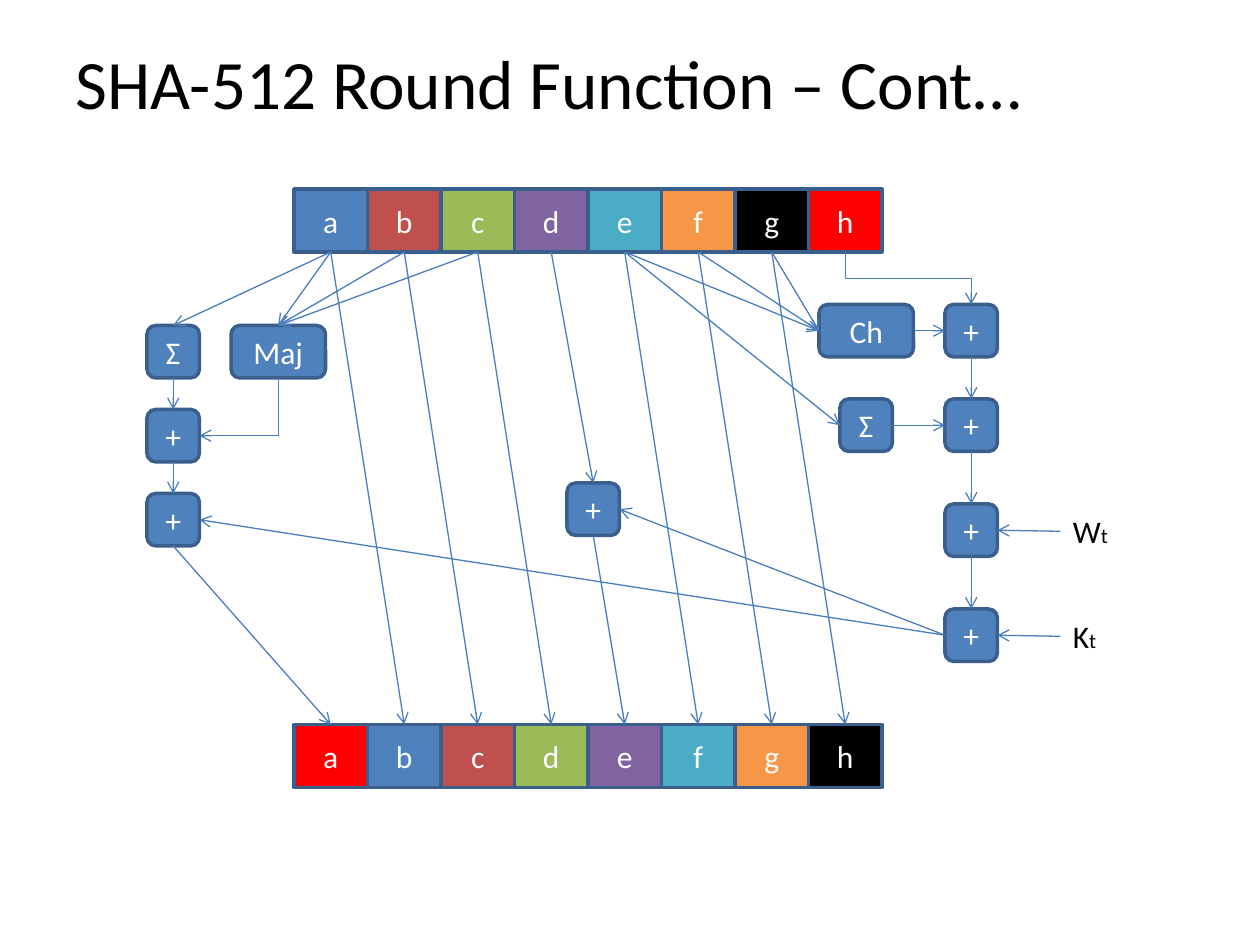
from lxml import etree
from pptx import Presentation
from pptx.dml.color import RGBColor
from pptx.enum.shapes import MSO_CONNECTOR, MSO_SHAPE
from pptx.enum.text import MSO_ANCHOR, PP_ALIGN
from pptx.oxml.ns import qn
from pptx.util import Emu, Pt

STRAIGHT, ELBOW = MSO_CONNECTOR.STRAIGHT, MSO_CONNECTOR.ELBOW
RECT, ROUND = MSO_SHAPE.RECTANGLE, MSO_SHAPE.ROUNDED_RECTANGLE
MIDDLE, UPPER = MSO_ANCHOR.MIDDLE, MSO_ANCHOR.TOP
CENTER, START = PP_ALIGN.CENTER, PP_ALIGN.LEFT
TOP, LEFT, BOTTOM, RIGHT = range(4)

SCALE = 7620  # EMU per px, 120 px to the inch
FONT = "Calibri"
WORDS = "abcdefgh"
SIDE = 50
COLORS = {
    "blue": "4F81BD", "brick": "C0504D", "green": "9BBB59", "purple": "8064A2",
    "teal": "4BACC6", "orange": "F79646", "black": "000000", "red": "FF0000",
    "white": "FFFFFF", "edge": "3A5F8C", "arrow": "4B7EBC",
}
FILLS = ["blue", "brick", "green", "purple", "teal", "orange", "black", "red"]


def px(*values):
    return [Emu(value * SCALE) for value in values]


def rgb(name):
    return RGBColor.from_string(COLORS[name])


def write(shape, *runs, color="black", align=START, anchor=MIDDLE, inset=None):
    """Fill the shape with runs, each a pair of text and point size."""
    frame = shape.text_frame
    frame.word_wrap = True
    frame.vertical_anchor = anchor
    if inset is not None:
        frame.margin_left = frame.margin_right = px(inset)[0]
    para = frame.paragraphs[0]
    para.alignment = align
    for text, size in runs:
        run = para.add_run()
        run.text = text
        run.font.name = FONT
        run.font.size = Pt(size)
        run.font.color.rgb = rgb(color)


def label(slide, x, y, w, h, *runs, **look):
    box = slide.shapes.add_textbox(*px(x, y, w, h))
    write(box, *runs, **look)
    return box


def block(slide, text, x, y, w=SIDE, h=SIDE, kind=ROUND, fill="blue"):
    shape = slide.shapes.add_shape(kind, *px(x, y, w, h))
    shape.shadow.inherit = False
    shape.fill.solid()
    shape.fill.fore_color.rgb = rgb(fill)
    shape.line.color.rgb = rgb("edge")
    shape.line.width = Pt(2)
    write(shape, (text, 18), color="white", align=CENTER, inset=0)
    return shape


def words(slide, y, fills):
    """Draw one row of the eight state words."""
    return {
        word: block(slide, word, 280 + 70 * i, y, 70, 60, RECT, fill)
        for i, (word, fill) in enumerate(zip(WORDS, fills))
    }


def style(line):
    """Give a connector its thin stroke and open arrowhead."""
    line.line.color.rgb = rgb("arrow")
    line.line.width = Pt(0.75)
    etree.SubElement(line.line._get_or_add_ln(), qn("a:tailEnd"), type="arrow")
    etree.SubElement(line._element.spPr, qn("a:effectLst"))


def arrow(slide, start, end, leave=BOTTOM, enter=TOP):
    line = slide.shapes.add_connector(STRAIGHT, 0, 0, 0, 0)
    line.begin_connect(start, leave)
    line.end_connect(end, enter)
    style(line)


def bend(slide, preset, start, end, turn, flip=False):
    """Draw an elbow arrow that leaves downwards, as a preset turned on its side."""
    (x1, y1), (x2, y2) = start, end
    w, h = abs(y2 - y1), abs(x2 - x1)
    x, y = (x1 + x2 - w) // 2, (y1 + y2 - h) // 2
    line = slide.shapes.add_connector(ELBOW, *px(x, y, x + w, y + h))
    frame = line._element.spPr.find(qn("a:xfrm"))
    frame.set("rot", str(turn * 60000))
    if flip:
        frame.set("flipH", "1")
    line._element.spPr.find(qn("a:prstGeom")).set("prst", preset)
    style(line)


def chain(slide, nodes):
    for upper, lower in zip(nodes, nodes[1:]):
        arrow(slide, upper, lower)


def main():
    deck = Presentation()
    deck.slide_width, deck.slide_height = px(1200, 900)
    slide = deck.slides.add_slide(deck.slide_layouts[6])
    label(slide, 60, 36, 1040, 84, ("SHA-512 Round Function – Cont…", 39.6))

    old = words(slide, 180, FILLS)
    new = words(slide, 690, FILLS[-1:] + FILLS[:-1])

    left = [block(slide, text, 140, 310 + 80 * i) for i, text in enumerate("Ʃ++")]
    maj = block(slide, "Maj", 220, 310, w=90)
    mid = block(slide, "+", 540, 460)
    choice = block(slide, "Ch", 780, 290, w=90)
    sigma = block(slide, "Ʃ", 800, 380)
    right = [block(slide, "+", 900, y) for y in (290, 380, 480, 580)]

    for word, after in zip(WORDS, WORDS[1:]):
        if word not in "dh":
            arrow(slide, old[word], new[after])
    for word in "abc":
        arrow(slide, old[word], maj)
    for word in "efg":
        arrow(slide, old[word], choice, enter=LEFT)

    arrow(slide, old["a"], left[0])
    chain(slide, left + [new["a"]])
    chain(slide, [old["d"], mid, new["e"]])
    chain(slide, right)
    arrow(slide, old["e"], sigma, enter=LEFT)
    arrow(slide, choice, right[0], RIGHT, LEFT)
    arrow(slide, sigma, right[1], RIGHT, LEFT)
    bend(slide, "bentConnector2", (265, 360), (190, 415), 90)
    bend(slide, "bentConnector3", (805, 240), (925, 290), 270, flip=True)

    for letter, y, node in (("W", 482, right[2]), ("K", 582, right[3])):
        name = label(slide, 1010, y, 60, 48, (letter, 18), ("t", 12), anchor=UPPER)
        arrow(slide, name, node, LEFT, RIGHT)
    for node in (mid, left[2]):
        arrow(slide, right[3], node, LEFT, RIGHT)

    deck.save("out.pptx")


if __name__ == "__main__":
    main()
